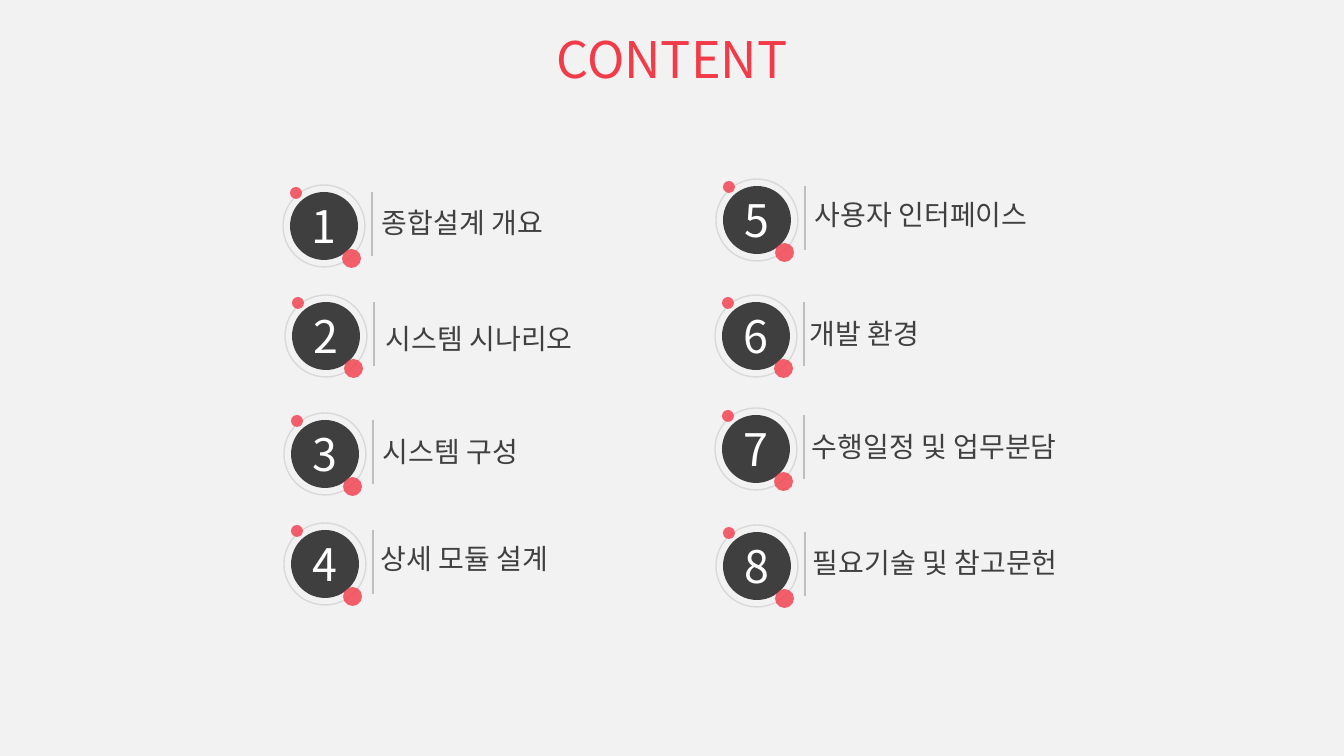
from dataclasses import dataclass

from lxml import etree
from pptx import Presentation
from pptx.dml.color import RGBColor
from pptx.enum.shapes import MSO_CONNECTOR, MSO_SHAPE
from pptx.enum.text import MSO_ANCHOR, MSO_AUTO_SIZE, PP_ALIGN
from pptx.oxml.ns import qn
from pptx.util import Emu, Pt

OVAL = MSO_SHAPE.OVAL
STRAIGHT = MSO_CONNECTOR.STRAIGHT
TOP, MIDDLE = MSO_ANCHOR.TOP, MSO_ANCHOR.MIDDLE
LEFT, CENTER = PP_ALIGN.LEFT, PP_ALIGN.CENTER
NO_AUTOFIT = MSO_AUTO_SIZE.NONE

EMU_PER_PX = 914400 / 100.8
TITLE_ONLY_LAYOUT = 5


@dataclass(frozen=True)
class Theme:
    background: str = "F2F2F2"
    accent: str = "F23B48"
    disc: str = "3F3F3F"
    number: str = "FFFFFF"
    label: str = "404040"
    ring: str = "D9D9D9"
    divider: str = "BFBFBF"
    display_font: str = "Noto Sans CJK SC"
    label_font: str = "Noto Sans CJK KR"
    title_size: int = 36
    number_size: int = 32
    label_size: int = 20
    line_width: int = 1
    dot_opacity: int = 80


def px(value):
    return Emu(round(value * EMU_PER_PX))


def color(value):
    return RGBColor.from_string(value)


class ContentSlide:
    def __init__(self, presentation, theme):
        self.theme = theme
        layout = presentation.slide_layouts[TITLE_ONLY_LAYOUT]
        self.slide = presentation.slides.add_slide(layout)
        fill = self.slide.background.fill
        fill.solid()
        fill.fore_color.rgb = color(theme.background)

    def set_text(self, shape, text, font_name, size, text_color, align, anchor):
        frame = shape.text_frame
        frame.word_wrap = True
        frame.auto_size = NO_AUTOFIT
        frame.vertical_anchor = anchor
        paragraph = frame.paragraphs[0]
        paragraph.alignment = align
        run = paragraph.add_run()
        run.text = text
        run.font.size = Pt(size)
        run.font.color.rgb = color(text_color)
        run.font.name = font_name
        east_asian = etree.SubElement(run.font._element, qn("a:ea"))
        east_asian.set("typeface", font_name)

    def title(self, text, left, top, width, height):
        theme = self.theme
        shape = self.slide.shapes.title
        shape.left, shape.top = px(left), px(top)
        shape.width, shape.height = px(width), px(height)
        self.set_text(shape, text, theme.display_font, theme.title_size,
                      theme.accent, CENTER, TOP)

    def circle(self, group, left, top, size, fill=None, line=None, opacity=100):
        shape = group.shapes.add_shape(OVAL, px(left), px(top), px(size), px(size))
        shape.shadow.inherit = False
        if fill:
            shape.fill.solid()
            shape.fill.fore_color.rgb = color(fill)
            if opacity < 100:
                fill_color = shape._element.spPr.find(qn("a:solidFill"))[0]
                alpha = etree.SubElement(fill_color, qn("a:alpha"))
                alpha.set("val", str(opacity * 1000))
        else:
            shape.fill.background()
        if line:
            shape.line.color.rgb = color(line)
            shape.line.width = Pt(self.theme.line_width)
        else:
            shape.line.fill.background()
        return shape

    def divider(self, group, x, top, bottom):
        line = group.shapes.add_connector(STRAIGHT, px(x), px(top), px(x), px(bottom))
        line.line.color.rgb = color(self.theme.divider)
        line.line.width = Pt(self.theme.line_width)
        etree.SubElement(line._element.spPr, qn("a:effectLst"))

    def label(self, group, text, left, top, width):
        theme = self.theme
        box = group.shapes.add_textbox(px(left), px(top), px(width), px(43))
        self.set_text(box, text, theme.label_font, theme.label_size,
                      theme.label, LEFT, TOP)

    def entry(self, number, text, left, top, label_dx, label_dy, label_width):
        theme = self.theme
        group = self.slide.shapes.add_group_shape()
        # Numbered disc inside a ring
        disc = self.circle(group, left + 7, top + 7, 68, fill=theme.disc)
        self.set_text(disc, str(number), theme.display_font, theme.number_size,
                      theme.number, CENTER, MIDDLE)
        self.circle(group, left, top, 82, line=theme.ring)
        # Accent dots, lower right and upper left
        for dx, dy, size in ((59, 64, 19), (7, 2, 12)):
            self.circle(group, left + dx, top + dy, size, fill=theme.accent,
                        opacity=theme.dot_opacity)
        # Label behind a thin divider
        self.label(group, text, left + label_dx, top + label_dy, label_width)
        self.divider(group, left + 89, top + 7, top + 71)


# Text, ring left and top, label offset from the ring, label width
ENTRIES = (
    ("종합설계 개요", 283, 185, 89, 16, 249),
    ("시스템 시나리오", 285, 295, 91, 22, 249),
    ("시스템 구성", 284, 413, 89, 17, 246),
    ("상세 모듈 설계", 284, 523, 87, 14, 265),
    ("사용자 인터페이스", 716, 179, 89, 14, 287),
    ("개발 환경", 715, 295, 85, 17, 249),
    ("수행일정 및 업무분담", 715, 408, 87, 17, 311),
    ("필요기술 및 참고문헌", 716, 525, 87, 16, 304),
)


def main():
    presentation = Presentation()
    presentation.slide_width = px(1344)
    presentation.slide_height = px(756)

    content = ContentSlide(presentation, Theme())
    content.title("CONTENT", 528, 23, 288, 72)
    for number, entry in enumerate(ENTRIES, start=1):
        content.entry(number, *entry)

    presentation.save("out.pptx")


if __name__ == "__main__":
    main()
